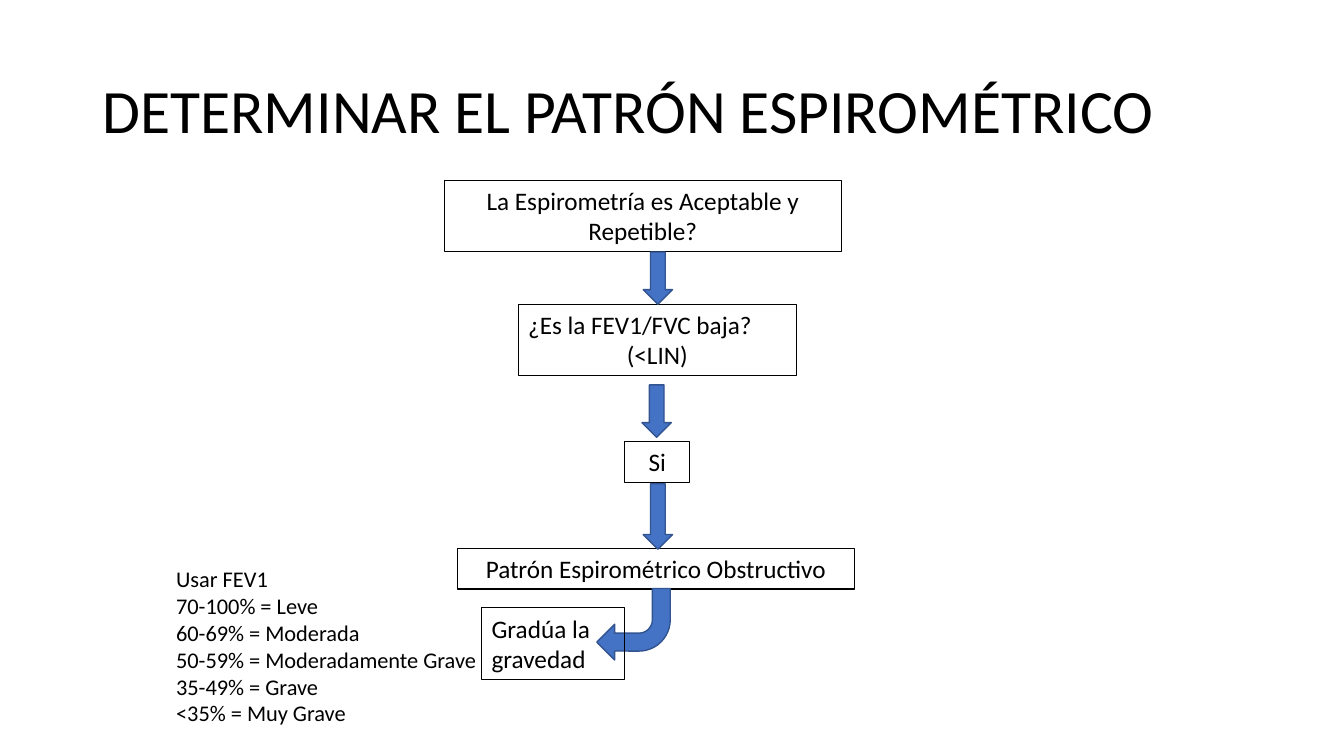
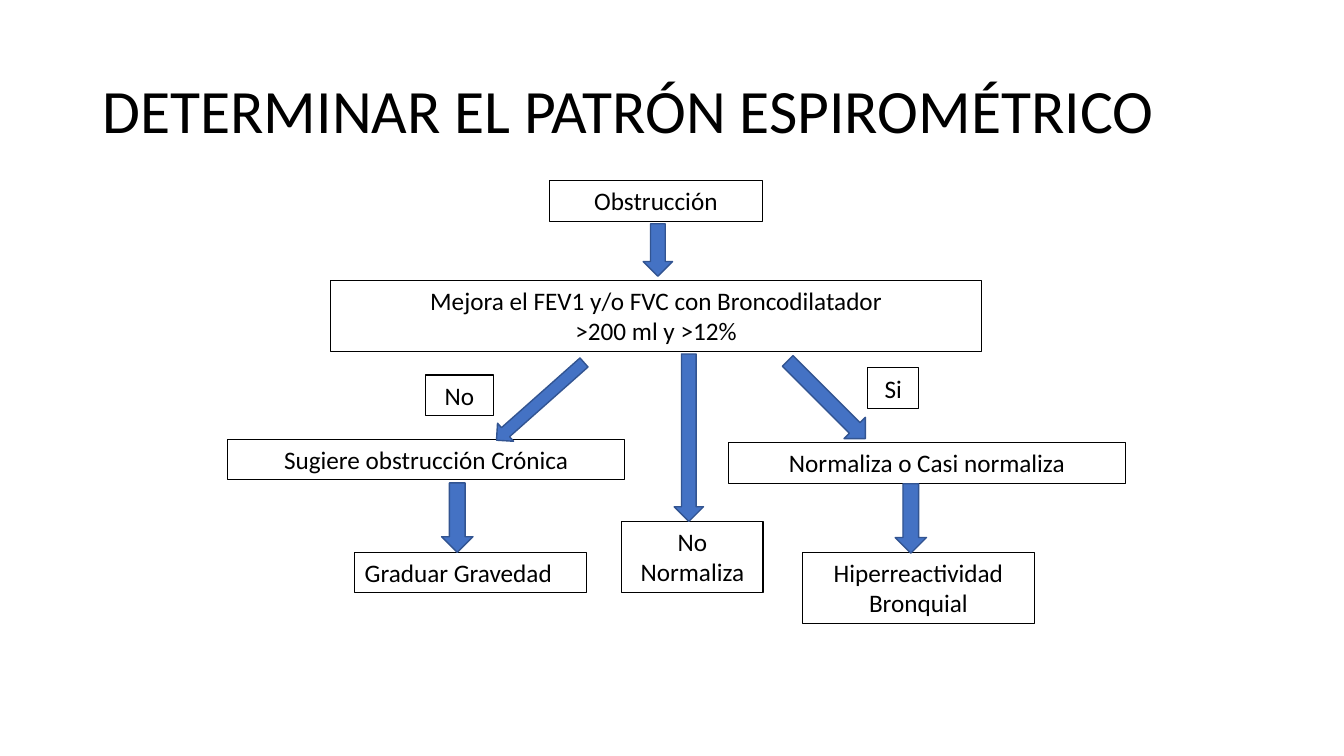
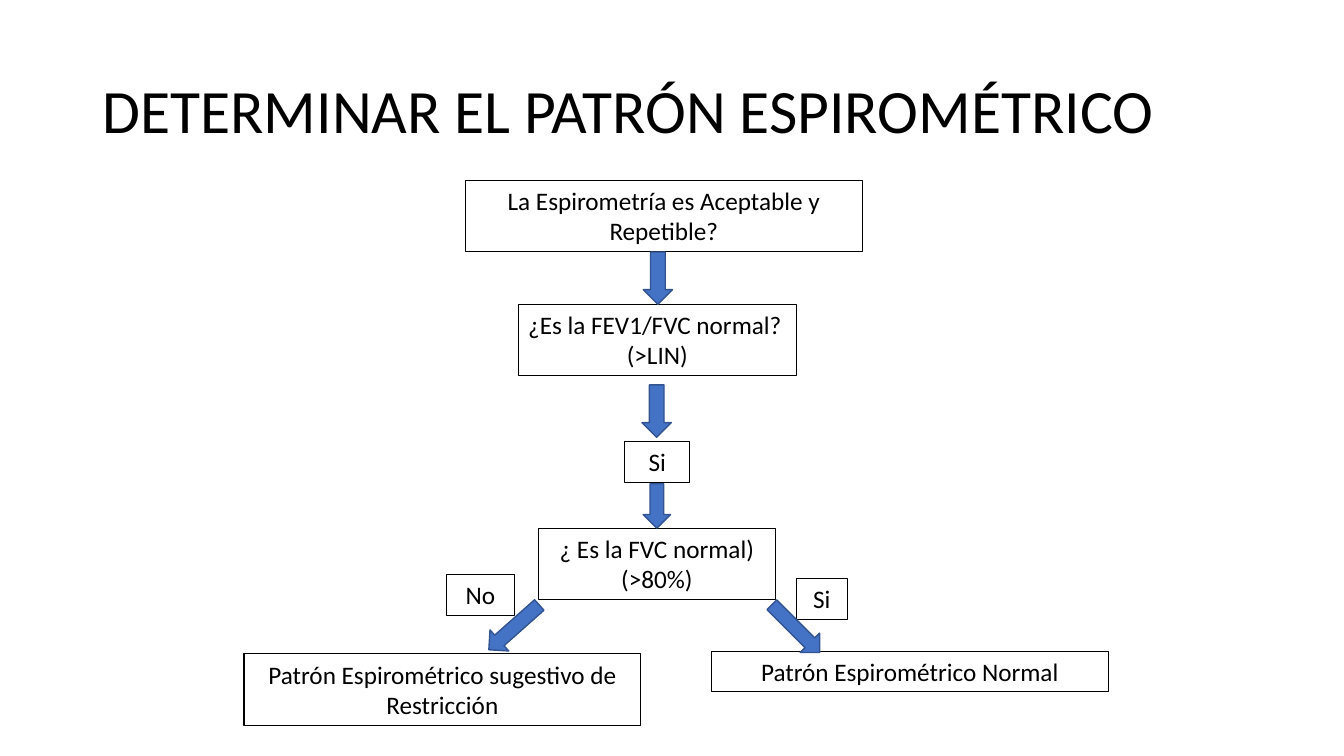
from pptx import Presentation
from pptx import util as u
from pptx.dml import color
from pptx.enum import shapes, text

FONT = "Calibri"
BLACK, BLUE, DARK_BLUE = "000000", "4472C4", "325491"
LEFT, CENTER = text.PP_ALIGN.LEFT, text.PP_ALIGN.CENTER
DOWN, BENT = shapes.MSO_SHAPE.DOWN_ARROW, shapes.MSO_SHAPE.BENT_ARROW
WIDE = 10  # width in cm of the boxes that hold a full sentence


def add_box(slide, wording, left, top, width, lines=1, aligns=(CENTER,), size=18):
    """Outlined text box; the last alignment serves all remaining paragraphs."""
    height = 0.25 + 0.043 * size * lines
    box = slide.shapes.add_textbox(u.Cm(left), u.Cm(top), u.Cm(width), u.Cm(height))
    box.line.color.rgb = color.RGBColor.from_string(BLACK)
    box.line.width = u.Pt(0.75)
    frame = box.text_frame
    frame.text = wording
    frame.word_wrap = True
    frame.auto_size = text.MSO_AUTO_SIZE.SHAPE_TO_FIT_TEXT
    for i, paragraph in enumerate(frame.paragraphs):
        paragraph.alignment = aligns[min(i, len(aligns) - 1)]
        for run in paragraph.runs:
            run.font.name, run.font.size = FONT, u.Pt(size)
            run.font.color.rgb = color.RGBColor.from_string(BLACK)
    return box


def add_arrow(slide, left, top, width, height, rotation=0, preset=DOWN):
    arrow = slide.shapes.add_shape(preset, u.Cm(left), u.Cm(top), u.Cm(width), u.Cm(height))
    arrow.rotation = rotation
    arrow.shadow.inherit = False
    arrow.fill.solid()
    arrow.fill.fore_color.rgb = color.RGBColor.from_string(BLUE)
    arrow.line.color.rgb = color.RGBColor.from_string(DARK_BLUE)
    arrow.line.width = u.Pt(1)


prs = Presentation()
prs.slide_width, prs.slide_height = u.Cm(33.87), u.Cm(19.05)

# Shared title
for _ in range(3):
    title = prs.slides.add_slide(prs.slide_layouts[5]).shapes.title
    title.left, title.top, title.width, title.height = u.Cm(2.33), u.Cm(1.01), u.Cm(29.21), u.Cm(3.68)
    title.text_frame.text = "DETERMINAR EL PATRÓN ESPIROMÉTRICO"
    title.text_frame.vertical_anchor = text.MSO_ANCHOR.MIDDLE
    heading = title.text_frame.paragraphs[0]
    heading.alignment, heading.line_spacing = LEFT, 0.9
    heading_font = heading.runs[0].font
    heading_font.name, heading_font.size = FONT, u.Pt(44)
    heading_font.color.rgb = color.RGBColor.from_string(BLACK)

obstructive, reversibility, restrictive = prs.slides

# Opening questions shared by the first and last slides
for slide, start_left, question in (
    (obstructive, 11.2, "¿Es la FEV1/FVC baja?\n(<LIN)"),
    (restrictive, 11.73, "¿Es la FEV1/FVC normal?\n(>LIN)"),
):
    add_box(slide, "La Espirometría es Aceptable y Repetible?", start_left, 4.55, WIDE, 2)
    add_box(slide, question, 13.06, 7.67, 7.01, 2, (LEFT, CENTER))
    add_box(slide, "Si", 15.75, 11.13, 1.63)
    add_arrow(slide, 16.21, 6.35, 0.74, 1.32)
    add_arrow(slide, 16.18, 9.7, 0.74, 1.32)

# Slide 1: obstructive pattern and its severity
add_box(obstructive, "Patrón Espirométrico Obstructivo", 11.53, 13.82, WIDE)
add_arrow(obstructive, 16.21, 12.19, 0.74, 1.65)
add_arrow(obstructive, 15.04, 14.83, 1.85, 1.8, 180, BENT)
add_box(obstructive, "Gradúa la gravedad", 12.14, 15.32, 3.61, 2, (LEFT,))
severity = add_box(
    obstructive,
    "Usar FEV1\n70-100% = Leve\n60-69% = Moderada\n50-59% = Moderadamente Grave\n"
    "35-49% = Grave\n<35% = Muy Grave",
    4.19, 14.12, 8.53, 6, (LEFT,), 16)
severity.line.fill.background()

# Slide 2: response to the bronchodilator
for wording, left, top, width, lines, align in (
    ("Obstrucción", 13.84, 4.55, 5.38, 1, CENTER),
    ("Mejora el FEV1 y/o FVC con Broncodilatador\n>200 ml y >12%", 8.33, 7.06, 16.41, 2, CENTER),
    ("No", 10.72, 9.45, 1.72, 1, CENTER),
    ("Si", 21.87, 9.27, 1.28, 1, CENTER),
    ("Sugiere obstrucción Crónica", 5.74, 11.07, WIDE, 1, CENTER),
    ("Normaliza o Casi normaliza", 18.36, 11.15, WIDE, 1, CENTER),
    ("Graduar Gravedad", 8.94, 13.92, 5.85, 1, LEFT),
    ("No Normaliza", 15.67, 13.13, 3.56, 2, CENTER),
    ("Hiperreactividad Bronquial", 20.22, 13.92, 5.85, 2, CENTER),
):
    add_box(reversibility, wording, left, top, width, lines, (align,))
for place in (
    (16.21, 5.64, 0.74, 1.32),
    (13.31, 8.64, 0.61, 2.95, 48.4),
    (16.99, 8.92, 0.74, 4.22),
    (20.45, 8.69, 0.76, 2.77, 315),
    (11.13, 12.17, 0.79, 1.75),
    (22.56, 12.19, 0.79, 1.75),
):
    add_arrow(reversibility, *place)

# Slide 3: normal or restrictive pattern
for wording, left, top, width, lines in (
    ("¿ Es la FVC normal)\n(>80%)", 13.56, 13.31, 5.99, 2),
    ("No", 11.25, 14.48, 1.72, 1),
    ("Si", 20.07, 14.58, 1.28, 1),
    ("Patrón Espirométrico sugestivo de Restricción", 6.15, 16.48, WIDE, 2),
    ("Patrón Espirométrico Normal", 17.93, 16.41, WIDE, 1),
):
    add_box(restrictive, wording, left, top, width, lines)
for place in (
    (16.21, 12.19, 0.69, 1.12),
    (12.6, 14.96, 0.71, 1.7, 48.4),
    (19.71, 14.99, 0.69, 1.7, 315),
):
    add_arrow(restrictive, *place)

prs.save("out.pptx")
